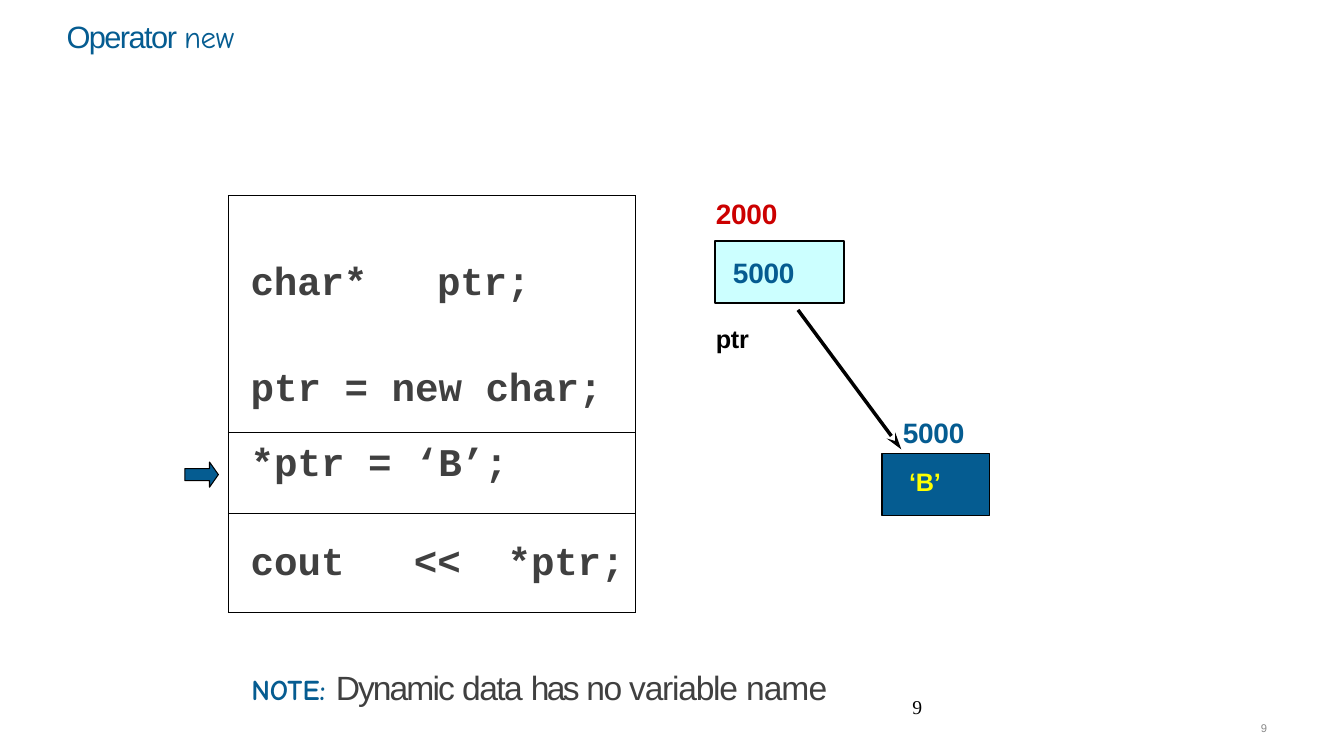
from dataclasses import dataclass

from lxml import etree
from pptx import Presentation
from pptx import util as u
from pptx.dml.color import RGBColor
from pptx.enum import shapes, text
from pptx.oxml.ns import qn

# Grid: 160 columns by 90 rows over the slide
SLIDE_WIDTH, SLIDE_HEIGHT = u.Inches(13.33), u.Inches(7.5)
COLUMNS, ROWS = 160, 90

BLUE, BLACK, GRAY = "055C91", "000000", "404040"
RED, CYAN, YELLOW, PALE_GRAY = "CC0000", "CCFFFF", "FFFF00", "898989"


@dataclass
class Run:
    text: str
    size: float
    color: str
    bold: bool = False
    spacing: float = 0
    font: str = "Arial"


@dataclass
class Label:
    column: float
    row: float
    width: float
    height: float
    runs: list[Run]
    align: text.PP_ALIGN = text.PP_ALIGN.LEFT
    top_inset: float = 0.01


@dataclass
class MemoryCell:
    column: float
    row: float
    width: float
    height: float
    fill: str
    value: Run
    left_inset: float
    top_inset: float


@dataclass
class CodeRow:
    height: float
    top_inset: float
    lines: list[list[Run]]
    tabs: tuple[float, ...] = ()
    line_spacing: float | None = None


def across(columns: float) -> int:
    return round(SLIDE_WIDTH * columns / COLUMNS)


def down(rows: float) -> int:
    return round(SLIDE_HEIGHT * rows / ROWS)


def area(part) -> tuple[int, int, int, int]:
    return across(part.column), down(part.row), across(part.width), down(part.height)


def rgb(color: str) -> RGBColor:
    return RGBColor.from_string(color)


def code(content: str, spacing: float = 0) -> Run:
    return Run(content, 28, GRAY, True, spacing, "Courier New")


def write(paragraph, runs: list[Run]) -> None:
    for item in runs:
        run = paragraph.add_run()
        run.text = item.text
        run.font.name = item.font
        run.font.size = u.Pt(item.size)
        run.font.bold = item.bold
        run.font.color.rgb = rgb(item.color)
        run.font._element.set("spc", str(round(item.spacing * 100)))


def set_insets(frame, left: float, top: float) -> None:
    frame.margin_left, frame.margin_top = u.Inches(left), u.Inches(top)
    frame.margin_right = frame.margin_bottom = 0


def add_label(slide, label: Label) -> None:
    frame = slide.shapes.add_textbox(*area(label)).text_frame
    frame.word_wrap = True
    set_insets(frame, 0.01, label.top_inset)
    frame.paragraphs[0].alignment = label.align
    write(frame.paragraphs[0], label.runs)


def style_shape(shape, fill: str, line_width: float) -> None:
    shape.shadow.inherit = False
    shape.fill.solid()
    shape.fill.fore_color.rgb = rgb(fill)
    shape.line.color.rgb = rgb(BLACK)
    shape.line.width = u.Pt(line_width)


def add_memory_cell(slide, cell: MemoryCell) -> None:
    shape = slide.shapes.add_shape(shapes.MSO_SHAPE.RECTANGLE, *area(cell))
    style_shape(shape, cell.fill, 1)
    frame = shape.text_frame
    frame.vertical_anchor = text.MSO_ANCHOR.TOP
    set_insets(frame, cell.left_inset, cell.top_inset)
    frame.paragraphs[0].alignment = text.PP_ALIGN.LEFT
    write(frame.paragraphs[0], [cell.value])


def add_borders(cell) -> None:
    properties = cell._tc.get_or_add_tcPr()
    for index, side in enumerate(("lnL", "lnR", "lnT", "lnB")):
        line = etree.Element(qn(f"a:{side}"), w=str(u.Pt(1)))
        fill = etree.SubElement(line, qn("a:solidFill"))
        etree.SubElement(fill, qn("a:srgbClr"), val=BLACK)
        properties.insert(index, line)


def add_tabs(paragraph, positions: tuple[float, ...]) -> None:
    tab_list = etree.SubElement(paragraph._p.get_or_add_pPr(), qn("a:tabLst"))
    for position in positions:
        etree.SubElement(tab_list, qn("a:tab"), pos=str(u.Inches(position)), algn="l")


def add_code_table(slide, column: float, row: float, width: float, code_rows: list[CodeRow]) -> None:
    height = sum(item.height for item in code_rows)
    table = slide.shapes.add_table(
        len(code_rows), 1, across(column), down(row), across(width), down(height)).table
    table.first_row = table.horz_banding = False
    for index, item in enumerate(code_rows):
        table.rows[index].height = down(item.height)
        cell = table.cell(index, 0)
        cell.fill.background()
        set_insets(cell, 0.22, item.top_inset)
        add_borders(cell)
        frame = cell.text_frame
        for number, runs in enumerate(item.lines):
            paragraph = frame.add_paragraph() if number else frame.paragraphs[0]
            if item.line_spacing:
                paragraph.line_spacing = u.Pt(item.line_spacing)
            if item.tabs:
                add_tabs(paragraph, item.tabs)
            write(paragraph, runs)


def add_pointer(slide, start: tuple[float, float], end: tuple[float, float]) -> None:
    connector = slide.shapes.add_connector(
        shapes.MSO_CONNECTOR.STRAIGHT,
        across(start[0]), down(start[1]), across(end[0]), down(end[1]))
    connector.line.color.rgb = rgb(BLACK)
    connector.line.width = u.Pt(2.5)
    etree.SubElement(connector.line._get_or_add_ln(), qn("a:tailEnd"),
                     type="stealth", w="med", len="lg")
    etree.SubElement(connector._element.spPr, qn("a:effectLst"))


def add_step_arrow(slide, column: float, row: float) -> None:
    arrow = slide.shapes.add_shape(
        shapes.MSO_SHAPE.RIGHT_ARROW, across(column), down(row), across(4), down(3))
    style_shape(arrow, BLUE, 0.75)
    arrow.adjustments[0], arrow.adjustments[1] = 0.48, 0.35


CODE_ROWS = [
    CodeRow(28.2, 0.05, [[code("char*\t", -0.1), code("ptr;", -0.2)],
                         [code("ptr = new "), code("char;", -0.1)]], (1.85,), 75.8),
    CodeRow(9.6, 0.11, [[code("*ptr = "), code("‘B’;", -0.2)]]),
    CodeRow(11.8, 0.29, [[code("cout\t<<\t"), code("*ptr;", -0.1)]], (1.62, 2.55)),
]

LABELS = [
    Label(7.8, 2, 24, 4.7, [Run("Operator ", 22, BLUE, spacing=-1.1),
                            Run("new", 22, BLUE, spacing=-0.2, font="Comic Neue")]),
    Label(29.8, 79.3, 72.6, 5.2, [
        Run("NOTE: ", 20.5, BLUE, True, font="Comic Neue"),
        Run("Dynamic ", 24, GRAY, spacing=-1.4), Run("data ", 24, GRAY, spacing=-1.1),
        Run("has ", 24, GRAY, spacing=-1.9), Run("no variable ", 24, GRAY, spacing=-0.9),
        Run("name", 24, GRAY, spacing=-0.7)]),
    Label(85.1, 23.3, 7.8, 4.3, [Run("2000", 20, RED, True, -0.2)]),
    Label(85.1, 38.4, 7.8, 3.9, [Run("ptr", 18, BLACK, True, -0.2)]),
    Label(107, 49.4, 7.8, 4.3, [Run("5000", 20, BLUE, True, -0.2)], text.PP_ALIGN.RIGHT),
    Label(108.5, 82.7, 2.3, 2.9, [Run("9", 14, BLACK, font="Times New Roman")], top_inset=0),
    Label(150, 85.8, 1.8, 1.9, [Run("9", 8, PALE_GRAY, spacing=-0.4)]),
]

MEMORY_CELLS = [
    MemoryCell(85.1, 28.7, 15.4, 7.4, CYAN, Run("5000", 20, BLUE, True, -0.2), 0.18, 0.14),
    MemoryCell(105, 54, 12.8, 7.4, BLUE, Run("‘B’", 18, YELLOW, True, -0.2), 0.27, 0.13),
]


def main() -> None:
    presentation = Presentation()
    presentation.slide_width, presentation.slide_height = SLIDE_WIDTH, SLIDE_HEIGHT
    slide = presentation.slides.add_slide(presentation.slide_layouts[6])
    # Code listing and current step
    add_code_table(slide, 27.2, 23.3, 48.5, CODE_ROWS)
    add_step_arrow(slide, 22, 55)
    # Memory diagram
    add_pointer(slide, (95, 36.9), (107.3, 53.5))
    for cell in MEMORY_CELLS:
        add_memory_cell(slide, cell)
    # Title, note, addresses and page numbers
    for label in LABELS:
        add_label(slide, label)
    presentation.save("out.pptx")


if __name__ == "__main__":
    main()
